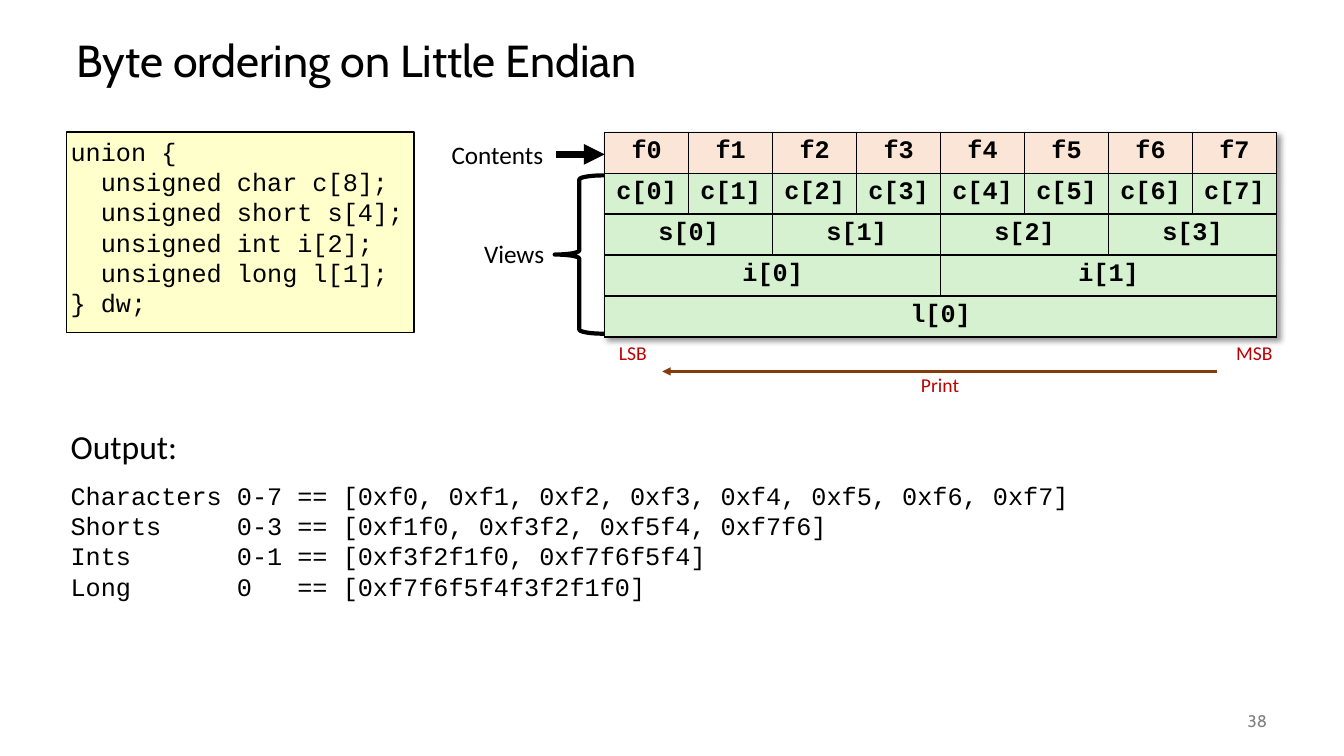
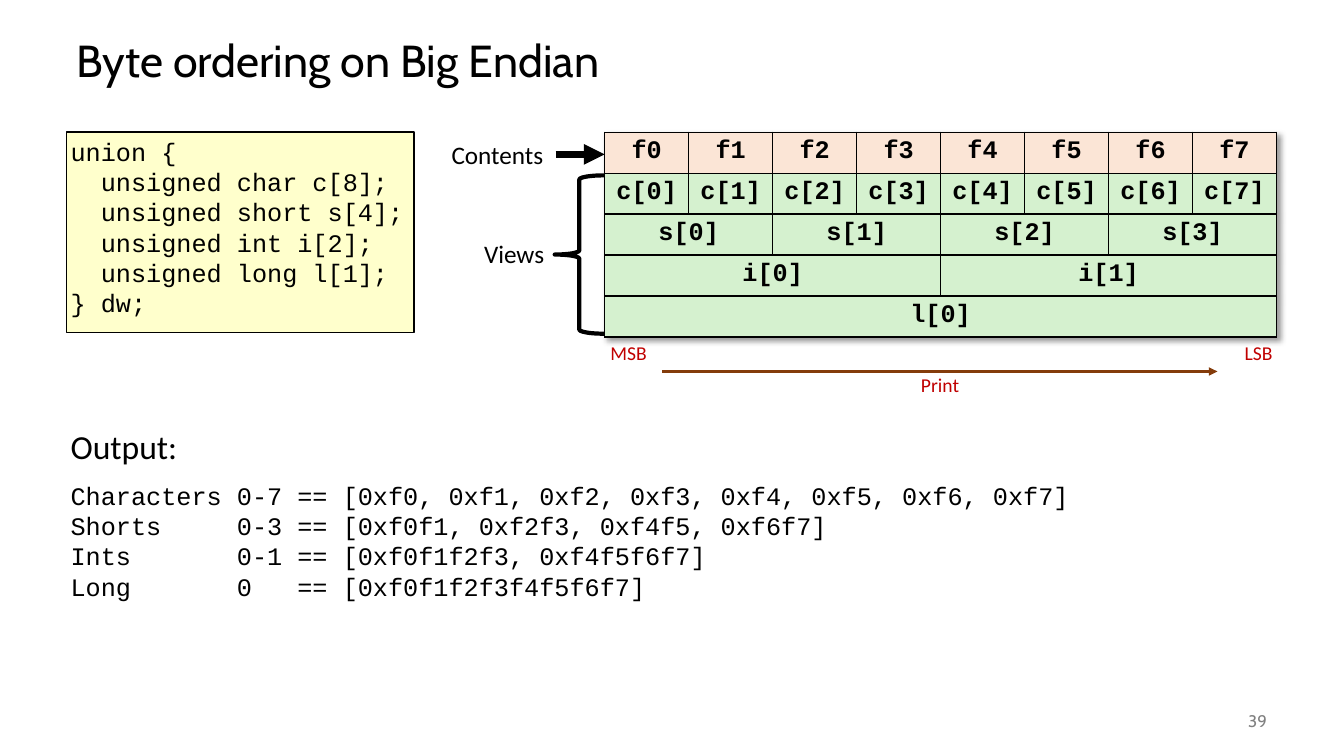
from lxml import etree
from pptx import Presentation
from pptx.dml.color import RGBColor
from pptx.enum.shapes import MSO_CONNECTOR, MSO_SHAPE
from pptx.enum.text import MSO_ANCHOR, PP_ALIGN
from pptx.oxml import parse_xml
from pptx.oxml.ns import nsdecls, qn
from pptx.util import Cm, Pt

LEFT, CENTER, RIGHT = PP_ALIGN.LEFT, PP_ALIGN.CENTER, PP_ALIGN.RIGHT
TOP, MIDDLE = MSO_ANCHOR.TOP, MSO_ANCHOR.MIDDLE
STRAIGHT = MSO_CONNECTOR.STRAIGHT
RECTANGLE, LEFT_BRACE = MSO_SHAPE.RECTANGLE, MSO_SHAPE.LEFT_BRACE

BLACK = RGBColor(0x00, 0x00, 0x00)
GRAY = RGBColor(0x80, 0x80, 0x80)
RED = RGBColor(0xC0, 0x00, 0x00)
BROWN = RGBColor(0x84, 0x3C, 0x0B)
YELLOW = RGBColor(0xFF, 0xFF, 0xCC)
PEACH = RGBColor(0xFB, 0xE5, 0xD6)
GREEN = RGBColor(0xD5, 0xF1, 0xCF)

HEADING_FONT, BODY_FONT, CODE_FONT = "Cabin", "Calibri", "Courier New"
SMALL_INSET = Cm(0.1)
MARGIN = Cm(1.68)
DIAGRAM_TOP = Cm(3.33)

BYTES = [f"f{index}" for index in range(8)]
VIEWS = [("c", 1), ("s", 2), ("i", 4), ("l", 8)]
OUTPUT_ROWS = [("Characters", "0-7", 1), ("Shorts", "0-3", 2),
               ("Ints", "0-1", 4), ("Long", "0", 8)]
UNION_CODE = [
    "union {",
    "  unsigned char c[8];",
    "  unsigned short s[4];",
    "  unsigned int i[2];",
    "  unsigned long l[1];",
    "} dw;",
]


def write(frame, lines, size, font, color=BLACK, align=LEFT, bold=False):
    """Fill a text frame with one paragraph per line, all in one style."""
    for index, line in enumerate(lines):
        paragraph = frame.add_paragraph() if index else frame.paragraphs[0]
        paragraph.text = line
        paragraph.alignment = align
        paragraph.font.size = Pt(size)
        paragraph.font.name = font
        paragraph.font.bold = bold
        paragraph.font.color.rgb = color


def set_insets(frame, inset):
    """Give a text frame the same inset on all four sides."""
    frame.margin_left = frame.margin_right = inset
    frame.margin_top = frame.margin_bottom = inset


def add_text(slide, box, lines, size, font, color=BLACK, align=LEFT,
             anchor=TOP, inset=None, wrap=True):
    """Add a text box at box (left, top, width, height)."""
    frame = slide.shapes.add_textbox(*box).text_frame
    frame.word_wrap = wrap
    frame.vertical_anchor = anchor
    if inset is not None:
        set_insets(frame, inset)
    write(frame, lines, size, font, color, align)
    return frame


def add_arrow(slide, start, end, color, width):
    """Add a straight arrow between two points."""
    arrow = slide.shapes.add_connector(STRAIGHT, *start, *end)
    arrow.line.color.rgb = color
    arrow.line.width = Pt(width)
    properties = arrow.element.spPr
    line = properties.find(qn("a:ln"))
    etree.SubElement(line, qn("a:tailEnd"), type="triangle")
    etree.SubElement(properties, qn("a:effectLst"))


def add_frame(slide, title, number):
    """Add the title and the slide number."""
    box = (MARGIN, Cm(0.64), Cm(30.48), Cm(1.9))
    frame = add_text(slide, box, [title], 32, HEADING_FONT, anchor=MIDDLE)
    frame.paragraphs[0].line_spacing = 0.9
    box = (Cm(29.64), Cm(17.65), Cm(2.54), Cm(1.02))
    add_text(slide, box, [str(number)], 12, HEADING_FONT, GRAY, RIGHT, MIDDLE)


def add_union_code(slide, left, top):
    """Add the panel with the union declaration."""
    panel = slide.shapes.add_shape(RECTANGLE, left, top, Cm(8.76), Cm(5.05))
    panel.shadow.inherit = False
    panel.fill.solid()
    panel.fill.fore_color.rgb = YELLOW
    panel.line.color.rgb = BLACK
    panel.line.width = Pt(1)
    frame = panel.text_frame
    frame.word_wrap = True
    frame.vertical_anchor = TOP
    set_insets(frame, SMALL_INSET)
    write(frame, UNION_CODE, 18, CODE_FONT)


def style_cell(cell, fill):
    """Give a cell its fill and thin black borders."""
    cell.fill.solid()
    cell.fill.fore_color.rgb = fill
    properties = cell._tc.get_or_add_tcPr()
    for index, side in enumerate(("lnL", "lnR", "lnT", "lnB")):
        border = parse_xml(
            f'<a:{side} {nsdecls("a")} w="12700"><a:solidFill>'
            f'<a:srgbClr val="{BLACK}"/></a:solidFill></a:{side}>')
        properties.insert(index, border)


def add_memory_table(slide, left, top, width, height):
    """Add the table of bytes and their typed views."""
    rows, columns = len(VIEWS) + 1, len(BYTES)
    table = slide.shapes.add_table(rows, columns, left, top, width, height).table
    table.first_row = table.horz_banding = False
    shadow = parse_xml(
        f'<a:effectLst {nsdecls("a")}><a:outerShdw blurRad="50800" dist="38100" '
        'dir="2700000" algn="tl" rotWithShape="0"><a:prstClr val="black">'
        '<a:alpha val="40000"/></a:prstClr></a:outerShdw></a:effectLst>')
    table._tbl.tblPr.insert(0, shadow)
    contents = [(BYTES, 1, PEACH)]
    for name, span in VIEWS:
        labels = [f"{name}[{index}]" for index in range(columns // span)]
        contents.append((labels, span, GREEN))
    for row, (labels, span, fill) in enumerate(contents):
        for column in range(columns):
            style_cell(table.cell(row, column), fill)
        for index, label in enumerate(labels):
            cell = table.cell(row, index * span)
            if span > 1:
                cell.merge(table.cell(row, (index + 1) * span - 1))
            write(cell.text_frame, [label], 18, CODE_FONT, align=CENTER, bold=True)


def add_memory_diagram(slide, left, top, little_endian):
    """Add the table with its row labels, brace, byte ends and print arrow."""
    table_left, width, height = left + Cm(4.11), Cm(16.93), Cm(5.16)
    add_memory_table(slide, table_left, top, width, height)

    label_left = left + Cm(0)
    add_text(slide, (label_left, top + Cm(0.05), Cm(2.87), Cm(1.02)),
             ["Contents"], 18, BODY_FONT, wrap=False)
    add_text(slide, (label_left + Cm(0.82), top + Cm(2.54), Cm(2.05), Cm(1.02)),
             ["Views"], 18, BODY_FONT, wrap=False)
    arrow_top = top + Cm(0.56)
    add_arrow(slide, (left + Cm(2.87), arrow_top), (table_left, arrow_top), BLACK, 5)
    brace = slide.shapes.add_shape(
        LEFT_BRACE, left + Cm(2.85), top + Cm(1.09), Cm(1.24), Cm(3.99))
    brace.shadow.inherit = False
    brace.fill.background()
    brace.line.color.rgb = BLACK
    brace.line.width = Pt(3)

    ends = ["LSB", "MSB"] if little_endian else ["MSB", "LSB"]
    end_width, end_height = Cm(1.16), Cm(0.81)
    end_top = top + height
    for text, end_left in zip(ends, (table_left, table_left + width - end_width)):
        add_text(slide, (end_left, end_top, end_width, end_height), [text], 14,
                 BODY_FONT, RED, RIGHT, inset=SMALL_INSET, wrap=False)
    add_text(slide, (table_left + Cm(7.87), top + Cm(5.97), Cm(1.22), end_height),
             ["Print"], 14, BODY_FONT, RED, inset=SMALL_INSET, wrap=False)

    print_top = top + Cm(6.03)
    points = [(table_left + Cm(1.45), print_top), (table_left + Cm(15.44), print_top)]
    if little_endian:
        points.reverse()
    add_arrow(slide, *points, BROWN, 2)


def output_line(name, indexes, size, little_endian):
    """Return one printed line, with the bytes grouped by size."""
    groups = [BYTES[start:start + size] for start in range(0, len(BYTES), size)]
    step = -1 if little_endian else 1
    values = ", ".join("0x" + "".join(group[::step]) for group in groups)
    return f"{name:<10} {indexes:<3} == [{values}]"


def add_output(slide, left, top, little_endian):
    """Add the output heading and the printed lines."""
    add_text(slide, (left, top, Cm(10.19), Cm(1.24)), ["Output:"], 24, BODY_FONT,
             inset=SMALL_INSET)
    lines = [output_line(*row, little_endian) for row in OUTPUT_ROWS]
    add_text(slide, (left, top + Cm(1.36), Cm(27), Cm(3.5)), lines, 18, CODE_FONT,
             inset=SMALL_INSET)


def build_slide(presentation, title, number, little_endian):
    """Build one byte ordering slide."""
    slide = presentation.slides.add_slide(presentation.slide_layouts[6])
    add_frame(slide, title, number)
    add_union_code(slide, MARGIN, DIAGRAM_TOP)
    add_memory_diagram(slide, Cm(11.13), DIAGRAM_TOP, little_endian)
    add_output(slide, MARGIN, Cm(10.64), little_endian)


def main():
    """Build and save the presentation."""
    presentation = Presentation()
    presentation.slide_width = Cm(33.87)
    presentation.slide_height = Cm(19.05)
    build_slide(presentation, "Byte ordering on Little Endian", 38, True)
    build_slide(presentation, "Byte ordering on Big Endian", 39, False)
    presentation.save("out.pptx")


if __name__ == "__main__":
    main()
